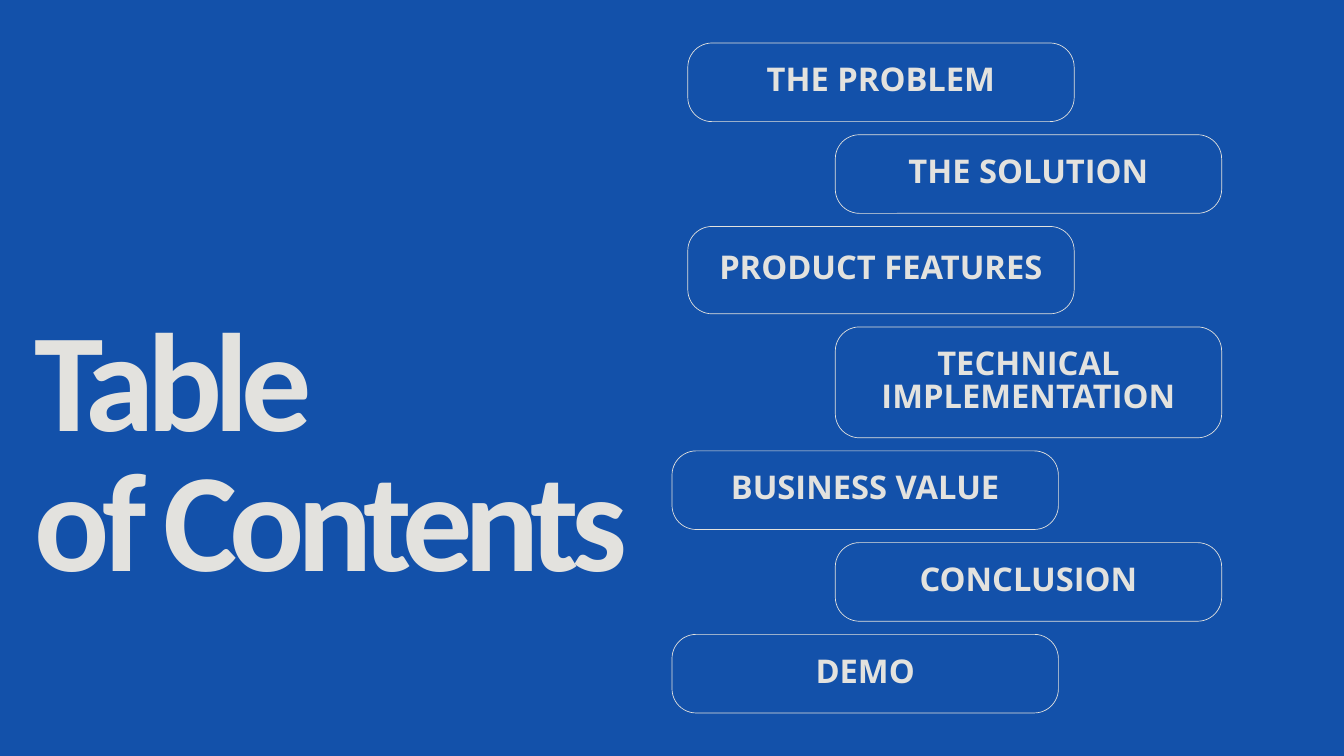
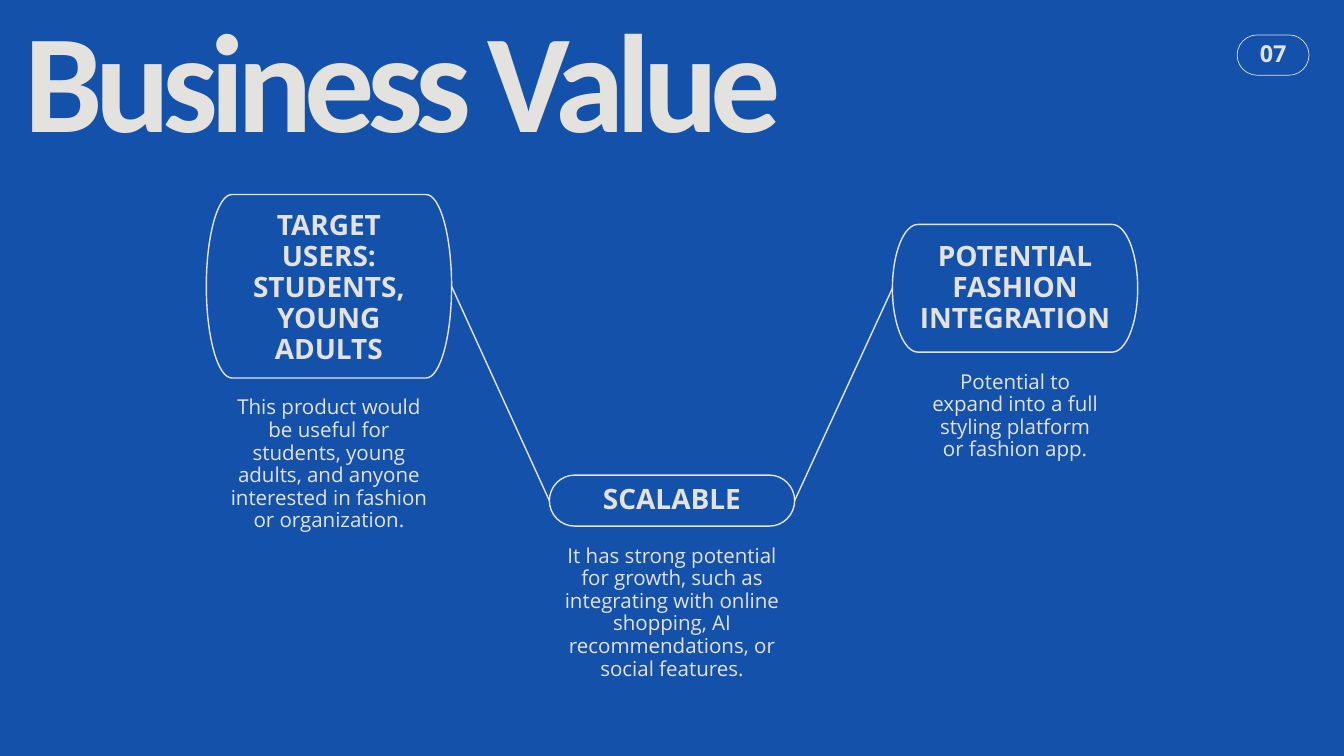
"""Build a table of contents slide and a business value slide."""
from pptx import Presentation
from pptx import util as u
from pptx.dml.color import RGBColor
from pptx.enum import shapes, text
from pptx.oxml.ns import qn
from lxml import etree

PX = 4572
SLIDE_W, SLIDE_H = 4000, 2250
BLUE = RGBColor(0x13, 0x51, 0xAA)
CREAM = RGBColor(0xE3, 0xE2, 0xDE)
TITLE_FONT, BODY_FONT = "Calibri", "Open Sans"

CONTENTS_TITLE = ("Table\nof Contents", (104, 950, 1832, 1272))
LEFT, LOWER_LEFT, RIGHT = 2047, 2000, 2486
CONTENTS = [
    ("THE PROBLEM", LEFT, 234, 108),
    ("THE SOLUTION", RIGHT, 234, 108),
    ("PRODUCT FEATURES", LEFT, 260, 108),
    ("TECHNICAL IMPLEMENTATION", RIGHT, 330, 204),
    ("BUSINESS VALUE", LOWER_LEFT, 234, 108),
    ("CONCLUSION", RIGHT, 234, 108),
    ("DEMO", LOWER_LEFT, 234, 108),
]
PILL_TOP, PILL_W, PILL_GAP, PILL_RADIUS = 128, 1150, 39, 72
LABEL_W, LABEL_DROP = 1070, 4

VALUE_TITLE = ("Business Value", (72, 60, 3124, 440))
PAGE_NUMBER = ("07", (3682, 104, 214, 120))
VALUES = [
    {"heading": "TARGET USERS: STUDENTS, YOUNG ADULTS",
     "body": "This product would be useful for students, young adults, and "
             "anyone interested in fashion or organization.",
     "badge": (614, 579, 730, 546), "inset": 48,
     "heading_size": (534, 464), "body_size": (606, 470)},
    {"heading": "SCALABLE",
     "body": "It has strong potential for growth, such as integrating with "
             "online shopping, AI recommendations, or social features.",
     "badge": (1635, 1414, 730, 152), "inset": 28,
     "heading_size": (672, 98), "body_size": (700, 404)},
    {"heading": "POTENTIAL FASHION INTEGRATION",
     "body": "Potential to expand into a full styling platform or fashion app.",
     "badge": (2656, 668, 730, 380), "inset": 50,
     "heading_size": (596, 282), "body_size": (502, 338)},
]
BADGE_END, BODY_GAP = 76, 55
CURVE = 0.55
BADGE_CURVES = (0, 3, 7, 10)


def emu(*lengths):
    return [u.Emu(round(length * PX)) for length in lengths]


def add_text(slide, words, box, size, leading, font=BODY_FONT, bold=True,
             align=text.PP_ALIGN.CENTER, spacing=None):
    frame = slide.shapes.add_textbox(*emu(*box)).text_frame
    frame.margin_left = frame.margin_right = 0
    frame.margin_top = frame.margin_bottom = 0
    frame.word_wrap = True
    frame.auto_size = text.MSO_AUTO_SIZE.SHAPE_TO_FIT_TEXT
    frame.text = words
    for paragraph in frame.paragraphs:
        paragraph.alignment = align
        paragraph.line_spacing = u.Pt(leading)
        for run in paragraph.runs:
            run.font.name = font
            run.font.size = u.Pt(size)
            run.font.bold = bold
            run.font.color.rgb = CREAM
            if spacing is not None:
                run._r.get_or_add_rPr().set("spc", str(spacing))


def add_title(slide, words, box):
    add_text(slide, words, box, 150, 150, font=TITLE_FONT,
             align=text.PP_ALIGN.LEFT, spacing=-825)


def outline(shape, width):
    shape.shadow.inherit = False
    shape.fill.background()
    shape.line.color.rgb = CREAM
    shape.line.width = u.Pt(width)


def add_pill(slide, box, radius):
    pill = slide.shapes.add_shape(shapes.MSO_SHAPE.ROUNDED_RECTANGLE, *emu(*box))
    pill.adjustments[0] = radius / min(box[2:])
    outline(pill, 0.75)


def badge_end(center, middle, reach, rise):
    """Return the points of two curves that round one end of a badge."""
    return [(center, middle - rise),
            (center + CURVE * reach, middle - rise),
            (center + reach, middle - CURVE * rise),
            (center + reach, middle),
            (center + reach, middle + CURVE * rise),
            (center + CURVE * reach, middle + rise),
            (center, middle + rise)]


def add_badge(slide, box):
    left, top, width, height = box
    middle, rise = top + height / 2, height / 2
    points = (badge_end(left + width - BADGE_END, middle, BADGE_END, rise)
              + badge_end(left + BADGE_END, middle, -BADGE_END, -rise))
    builder = slide.shapes.build_freeform(*points[0], scale=PX)
    builder.add_line_segments(points[1:], close=True)
    badge = builder.convert_to_shape()
    segments = list(badge._element.iter(qn("a:lnTo")))
    for first in BADGE_CURVES:
        curve = etree.Element(qn("a:cubicBezTo"))
        segments[first].addprevious(curve)
        for segment in segments[first:first + 3]:
            curve.append(segment[0])
            segment.getparent().remove(segment)
    outline(badge, 1.5)


def add_link(slide, start_box, end_box):
    left, top, width, height = start_box
    end_left, end_top, _, end_height = end_box
    link = slide.shapes.add_connector(
        shapes.MSO_CONNECTOR.STRAIGHT,
        *emu(left + width, top + height / 2, end_left, end_top + end_height / 2))
    link.line.color.rgb = CREAM
    link.line.width = u.Pt(1.5)
    etree.SubElement(link._element.spPr, qn("a:effectLst"))


def add_slide(deck):
    slide = deck.slides.add_slide(deck.slide_layouts[6])
    slide.background.fill.solid()
    slide.background.fill.fore_color.rgb = BLUE
    return slide


def build_contents(deck):
    slide = add_slide(deck)
    add_title(slide, *CONTENTS_TITLE)
    top = PILL_TOP
    for label, left, height, label_h in CONTENTS:
        add_pill(slide, (left, top, PILL_W, height), PILL_RADIUS)
        label_box = (left + (PILL_W - LABEL_W) / 2,
                     top + (height - label_h) / 2 + LABEL_DROP, LABEL_W, label_h)
        add_text(slide, label, label_box, 35, 35)
        top += height + PILL_GAP


def build_values(deck):
    slide = add_slide(deck)
    add_title(slide, *VALUE_TITLE)
    for value in VALUES:
        left, top, width, height = value["badge"]
        center = left + width / 2
        add_badge(slide, value["badge"])
        heading_w, heading_h = value["heading_size"]
        add_text(slide, value["heading"],
                 (center - heading_w / 2, top + value["inset"], heading_w, heading_h),
                 30, 33)
        body_w, body_h = value["body_size"]
        add_text(slide, value["body"],
                 (center - body_w / 2, top + height + BODY_GAP, body_w, body_h),
                 22, 24.2, bold=False)
    for value, following in zip(VALUES, VALUES[1:]):
        add_link(slide, value["badge"], following["badge"])
    number, (left, top, width, height) = PAGE_NUMBER
    add_pill(slide, (left, top, width, height), height / 2)
    add_text(slide, number, (left, top + 34, width, 66), 25, 22.5)


def main():
    deck = Presentation()
    deck.slide_width, deck.slide_height = emu(SLIDE_W, SLIDE_H)
    build_contents(deck)
    build_values(deck)
    deck.save("out.pptx")


if __name__ == "__main__":
    main()
